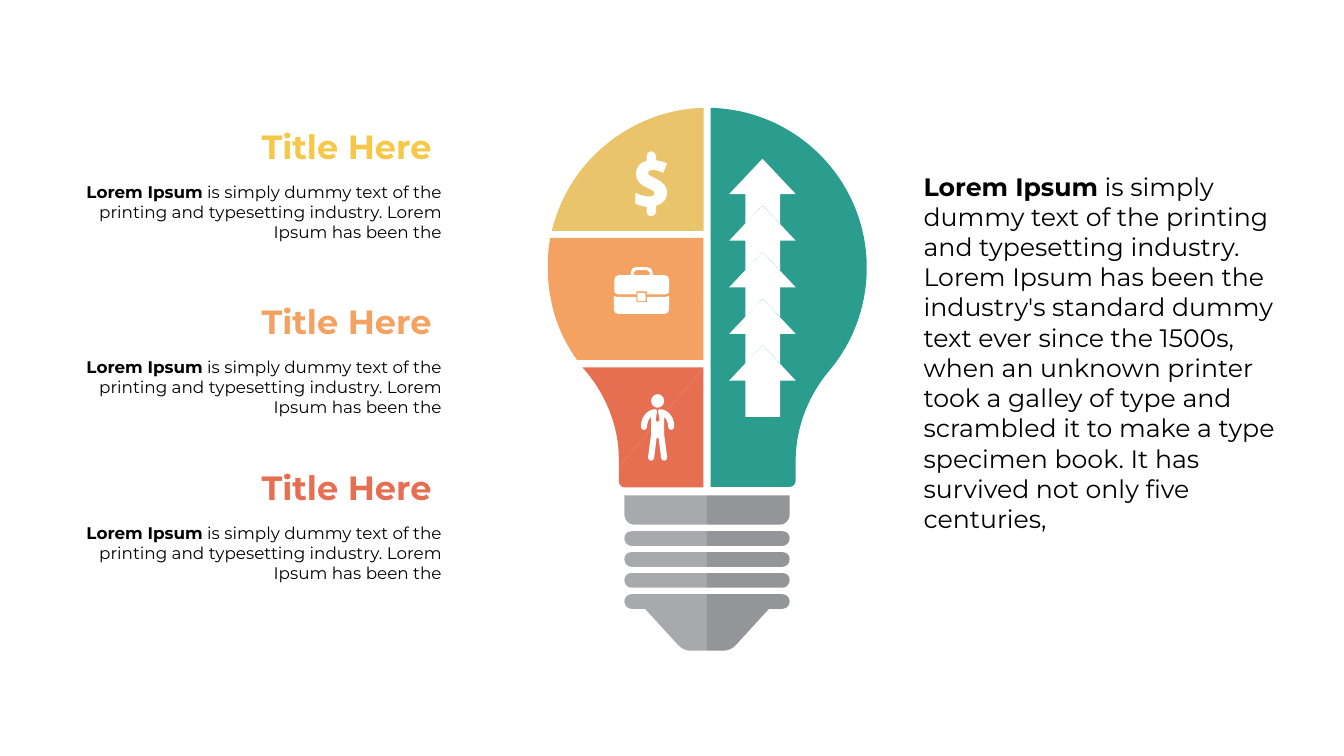
from lxml import etree
from pptx import Presentation
from pptx.dml.color import RGBColor
from pptx.enum.shapes import MSO_SHAPE
from pptx.enum.text import MSO_AUTO_SIZE, PP_ALIGN
from pptx.oxml.ns import qn
from pptx.util import Inches, Pt

OVAL, ROUND = MSO_SHAPE.OVAL, MSO_SHAPE.ROUNDED_RECTANGLE
GROW = MSO_AUTO_SIZE.SHAPE_TO_FIT_TEXT
LEFT, RIGHT = PP_ALIGN.LEFT, PP_ALIGN.RIGHT
FONT = "Montserrat"
COLORS = {
    "teal": "2A9D8F", "red": "E76F51", "sand": "E9C46A", "orange": "F4A261",
    "gold": "F7C748", "light": "A7A9AC", "dark": "939598",
    "white": "FFFFFF", "black": "000000",
}

# Text: heading, colour, top
HEADS = [("Title Here ", "gold", 2.44), ("Title Here ", "orange", 5.92),
         ("Title Here ", "red", 9.21)]
LEAD = "Lorem Ipsum"
SHORT = (" is simply dummy text of the printing and typesetting industry. "
         "Lorem Ipsum has been the")
LONG = (SHORT + " industry's standard dummy text ever since the 1500s, when an "
        "unknown printer took a galley of type and scrambled it to make a type "
        "specimen book. It has survived not only five centuries,")

# Outlines: a pair is a straight step, six numbers are a Bezier curve
GLASS = [
    ("teal", [(14.1, 2.14), (14.1, 9.66), (15.67, 9.66),
              (15.73, 9.66, 15.79, 9.61, 15.79, 9.54), (15.79, 9.14),
              (15.79, 8.5, 16.03, 7.86, 16.46, 7.35),
              (16.94, 6.78, 17.2, 6.06, 17.2, 5.31),
              (17.2, 3.59, 15.82, 2.18, 14.1, 2.14)]),
    ("red", [(11.56, 7.29), (11.62, 7.36),
             (12.04, 7.86, 12.28, 8.48, 12.28, 9.1), (12.28, 9.26),
             (13.96, 7.3), (13.96, 7.29)]),
    ("red", [(12.28, 9.55), (12.28, 9.61, 12.33, 9.67, 12.4, 9.67),
             (13.96, 9.67), (13.96, 7.3), (12.28, 9.26)]),
    ("sand", [(13.96, 2.14), (13.19, 2.16, 12.49, 2.46, 11.94, 2.94),
              (13.86, 4.58), (13.96, 4.58)]),
    ("sand", [(10.95, 4.58), (13.86, 4.58), (11.94, 2.94),
              (11.46, 3.36, 11.11, 3.93, 10.95, 4.58)]),
    ("orange", [(10.93, 5.93), (13.96, 5.93), (13.96, 4.72), (10.92, 4.72),
                (10.89, 4.86, 10.88, 5, 10.87, 5.14), (10.87, 5.35),
                (10.87, 5.54, 10.89, 5.73, 10.93, 5.93)]),
    ("orange", [(13.96, 7.14), (13.96, 5.93), (10.93, 5.93),
                (10.99, 6.25, 11.1, 6.56, 11.26, 6.84),
                (11.32, 6.95, 11.38, 7.04, 11.45, 7.14)]),
]

# Left half of the screw base; the right half mirrors it
MID = 14.03
CAP = [(12.39, 9.83), (12.39, 10.21), (12.39, 10.32, 12.48, 10.41, 12.58, 10.41),
       (MID, 10.41), (MID, 9.83)]
RING = [(12.39, 10.68), (12.39, 10.76, 12.45, 10.83, 12.53, 10.83), (MID, 10.83),
        (MID, 10.54), (12.53, 10.54), (12.45, 10.54, 12.39, 10.6, 12.39, 10.68)]
FOOT = [(12.39, 11.93), (12.39, 12.01, 12.45, 12.08, 12.53, 12.08), (12.8, 12.08),
        (13.45, 12.79), (13.52, 12.87, 13.61, 12.91, 13.71, 12.91), (MID, 12.91),
        (MID, 11.79), (12.53, 11.79), (12.45, 11.79, 12.39, 11.86, 12.39, 11.93)]

# Arrow stack
COUNT, STEP = 5, 0.925
ARROW = [(15.13, 3.15), (14.47, 3.85), (14.79, 3.85), (14.79, 4.44),
         (15.13, 4.07), (15.48, 4.44), (15.48, 3.85), (15.79, 3.85)]
LAST = ARROW[:3] + [(14.79, 4.57), (15.48, 4.57)] + ARROW[6:]

# Icons
CASE = [(12.84, 5.89), (12.84, 5.99), (12.63, 5.99), (12.63, 5.89),
        (12.24, 5.89), (12.18, 5.87), (12.18, 6.14),
        (12.18, 6.19, 12.22, 6.23, 12.27, 6.23), (13.19, 6.23),
        (13.24, 6.23, 13.28, 6.19, 13.28, 6.14), (13.28, 5.87), (13.22, 5.89)]
LID = [(13.19, 5.46), (12.95, 5.46), (12.95, 5.4),
       (12.95, 5.34, 12.9, 5.3, 12.84, 5.3), (12.62, 5.3),
       (12.56, 5.3, 12.52, 5.34, 12.52, 5.4), (12.52, 5.46), (12.27, 5.46),
       (12.22, 5.46, 12.19, 5.5, 12.19, 5.55), (12.19, 5.8), (12.25, 5.84),
       (12.63, 5.84), (12.63, 5.78), (12.84, 5.78), (12.84, 5.84),
       (13.22, 5.84), (13.28, 5.8), (13.28, 5.55),
       (13.28, 5.5, 13.24, 5.46, 13.19, 5.46)]
GRIP = [(12.58, 5.46), (12.58, 5.4), (12.62, 5.36), (12.84, 5.36),
        (12.89, 5.4), (12.89, 5.46)]
DOLLAR = [(13.03, 3.55), (12.95, 3.51, 12.86, 3.48, 12.86, 3.43),
          (12.86, 3.39, 12.9, 3.37, 12.95, 3.37),
          (13.02, 3.37, 13.09, 3.4, 13.16, 3.43), (13.24, 3.24),
          (13.16, 3.21, 13.09, 3.19, 13.02, 3.18), (13.02, 3.1),
          (13.02, 3.05, 12.98, 3, 12.92, 3), (12.87, 3, 12.83, 3.05, 12.83, 3.1),
          (12.83, 3.19), (12.7, 3.22, 12.62, 3.32, 12.62, 3.44),
          (12.62, 3.58, 12.7, 3.66, 12.83, 3.72),
          (12.92, 3.76, 12.99, 3.78, 12.99, 3.84),
          (12.99, 3.88, 12.94, 3.9, 12.89, 3.9),
          (12.8, 3.9, 12.71, 3.87, 12.61, 3.83), (12.61, 4.04),
          (12.68, 4.08, 12.76, 4.1, 12.83, 4.1), (12.83, 4.2),
          (12.83, 4.25, 12.87, 4.29, 12.92, 4.29),
          (12.98, 4.29, 13.02, 4.25, 13.02, 4.2), (13.02, 4.08),
          (13.15, 4.05, 13.24, 3.95, 13.24, 3.82),
          (13.24, 3.7, 13.16, 3.62, 13.03, 3.55)]
AXIS = 13.05
BODY = [(AXIS, 8.38), (13.01, 8.34), (13.04, 8.16), (13.02, 8.12),
        (12.93, 8.12, 12.87, 8.15, 12.81, 8.21),
        (12.71, 8.31, 12.72, 8.47, 12.72, 8.47),
        (12.72, 8.55, 12.84, 8.55, 12.84, 8.47),
        (12.84, 8.47, 12.84, 8.36, 12.9, 8.29), (12.92, 8.28), (12.92, 8.62),
        (12.86, 9.07), (12.85, 9.15, 12.97, 9.17, 12.98, 9.09),
        (13.03, 8.69), (AXIS, 8.69)]


def color(name):
    return RGBColor.from_string(COLORS[name])


def mirror(steps, axis):
    return [tuple(2 * axis - v if i % 2 == 0 else v for i, v in enumerate(s))
            for s in steps]


def shift(steps, dy):
    return [tuple(v + dy * (i % 2) for i, v in enumerate(s)) for s in steps]


def turn(steps):
    """Walk an outline backwards, after its last point."""
    pairs = list(zip(steps, steps[1:]))[::-1]
    return [s[2:4] + s[:2] + p[-2:] if len(s) == 6 else p[-2:] for p, s in pairs]


def paint(shape, name):
    shape.shadow.inherit = False
    shape.fill.solid()
    shape.fill.fore_color.rgb = color(name)
    shape.line.fill.background()


def draw(name, *loops):
    pen = None
    for loop in loops:
        ends = [(Inches(s[-2]), Inches(s[-1])) for s in loop]
        if pen is None:
            pen = slide.shapes.build_freeform(*ends[0])
        else:
            pen.move_to(*ends[0])
        pen.add_line_segments(ends[1:])
    shape = pen.convert_to_shape()
    paint(shape, name)
    # Bend the straight steps that are curves
    track = shape.element.find(".//" + qn("a:path"))
    steps = [s for loop in loops for s in loop + [()]]
    for step, node in zip(steps, list(track)):
        if len(step) == 6:
            curve = etree.Element(qn("a:cubicBezTo"))
            for x, y in zip(step[::2], step[1::2]):
                etree.SubElement(curve, qn("a:pt"), x=str(Inches(x) - shape.left),
                                 y=str(Inches(y) - shape.top))
            track.replace(node, curve)


def write(box, runs, size, align, name="black"):
    frame = slide.shapes.add_textbox(*map(Inches, box)).text_frame
    frame.word_wrap = True
    frame.auto_size = GROW
    para = frame.paragraphs[0]
    para.alignment = align
    para.font.name, para.font.size = FONT, Pt(size)
    para.font.color.rgb = color(name)
    for text, bold in runs:
        run = para.add_run()
        run.text, run.font.bold = text, bold


deck = Presentation()
deck.slide_width, deck.slide_height = Inches(26.67), Inches(15)
slide = deck.slides.add_slide(deck.slide_layouts[6])

# Bulb glass and base
for name, steps in GLASS:
    draw(name, steps)
halves = [CAP] + [shift(RING, 0.415 * i) for i in range(3)] + [FOOT]
for half in halves:
    draw("light", half)
for half in halves:
    draw("dark", mirror(half, MID))

# Arrows
for i in range(COUNT):
    draw("white", shift(LAST if i == COUNT - 1 else ARROW, i * STEP))

# Briefcase, dollar sign and person
draw("white", CASE)
draw("white", LID, GRIP)
clasp = slide.shapes.add_shape(ROUND, *map(Inches, (12.65, 5.81, 0.16, 0.16)))
clasp.adjustments[0] = 0.08
paint(clasp, "white")
draw("white", DOLLAR)
head = slide.shapes.add_shape(OVAL, *map(Inches, (12.92, 7.82, 0.26, 0.27)))
paint(head, "white")
draw("white", BODY + turn(mirror(BODY, AXIS)))

# Text blocks
for text, name, top in HEADS:
    write((0.47, top, 8.38, 0.91), [(text, True)], 48, RIGHT, name)
    write((1.26, top + 1.11, 7.6, 1.31), [(LEAD, True), (SHORT, False)], 24, RIGHT)
write((18.23, 3.34, 7.6, 7.37), [(LEAD, True), (LONG, False)], 36, LEFT)

deck.save("out.pptx")
